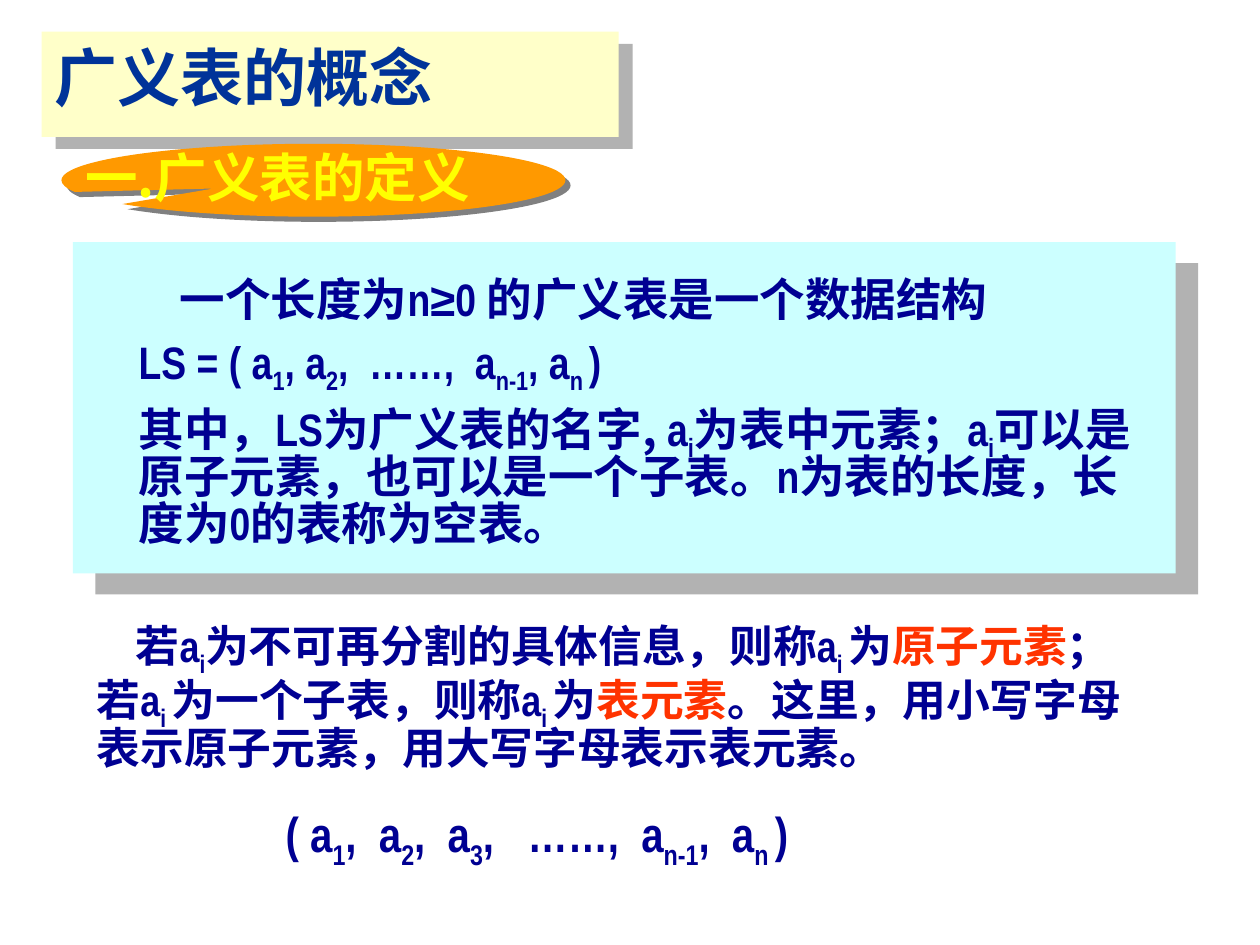
from dataclasses import dataclass

from lxml import etree
from pptx import Presentation
from pptx.dml.color import RGBColor
from pptx.enum.shapes import MSO_SHAPE
from pptx.enum.text import MSO_ANCHOR, MSO_AUTO_SIZE, PP_ALIGN
from pptx.oxml.ns import qn
from pptx.util import Cm, Pt

RECT = MSO_SHAPE.RECTANGLE
OVAL = MSO_SHAPE.OVAL_CALLOUT
TOP, MID = MSO_ANCHOR.TOP, MSO_ANCHOR.MIDDLE
GROW = MSO_AUTO_SIZE.SHAPE_TO_FIT_TEXT
LEFT = PP_ALIGN.LEFT


@dataclass(frozen=True)
class Theme:
    latin: str = "Arial Narrow"
    han: str = "Noto Sans CJK SC"
    navy: str = "000092"
    blue: str = "003399"
    red: str = "FF3300"
    yellow: str = "FFFF00"
    cream: str = "FFFFC9"
    cyan: str = "CCFFFF"
    orange: str = "FF9900"
    silver: str = "B2B2B2"
    gray: str = "808080"
    black: str = "000000"
    title: int = 36
    head: int = 30
    list: int = 28
    body: int = 26
    note: int = 25


T = Theme()


def shade(color, dist, angle):
    """Return an effect list holding one hard shadow."""
    fx = etree.Element(qn("a:effectLst"))
    drop = etree.SubElement(fx, qn("a:outerShdw"), dist=str(Pt(dist)),
                            dir=str(angle * 60000), algn="ctr", rotWithShape="0")
    etree.SubElement(drop, qn("a:srgbClr"), val=color)
    return fx


def write(shape, *lines, size, color=T.navy, face=None, anchor=TOP, space=1.0,
          gaps=None, first=0, drop=None):
    """Fill a shape; | parts the runs, _ starts a subscript, * a red run."""
    frame = shape.text_frame
    frame.word_wrap, frame.auto_size = True, GROW
    frame.vertical_anchor = anchor
    for i, line in enumerate(lines):
        par = frame.paragraphs[0] if i == 0 else frame.add_paragraph()
        par.alignment, par.line_spacing = LEFT, space
        before, after = (gaps or {}).get(i, (0, 0))
        par.space_before, par.space_after = Pt(before), Pt(after)
        props = par._p.get_or_add_pPr()
        props.set("marL", "0")
        props.set("indent", str(Cm(first) if i == 0 else 0))
        etree.SubElement(props, qn("a:buNone"))
        for part in line.split("|"):
            run = par.add_run()
            run.text = part.lstrip("_*")
            font = run.font
            font.size, font.bold = Pt(size), True
            tint = T.red if part[0] == "*" else color
            font.color.rgb = RGBColor.from_string(tint)
            wide = any(ord(c) > 0x2E80 for c in part)
            font.name = face or (T.han if wide else T.latin)
            rpr = run._r.get_or_add_rPr()
            rpr.find(qn("a:latin")).addnext(etree.Element(qn("a:ea"), typeface=T.han))
            if part[0] == "_":
                rpr.set("baseline", "-25000")
            if drop:
                rpr.find(qn("a:solidFill")).addnext(shade(*drop))


deck = Presentation()
deck.slide_width, deck.slide_height = Cm(25.4), Cm(19.05)
slide = deck.slides.add_slide(deck.slide_layouts[1])
shapes = slide.shapes
title, body = slide.placeholders

# Filled shapes with their shadows
oval = shapes.add_shape(OVAL, Cm(1.24), Cm(2.9), Cm(10.16), Cm(1.47))
oval.adjustments[0], oval.adjustments[1] = -0.198, 0.113
panel = shapes.add_shape(RECT, Cm(1.47), Cm(4.88), Cm(22.23), Cm(6.68))
for shape, fill, drop in ((title, T.cream, (T.silver, 10.6, 41)),
                          (oval, T.orange, (T.gray, 4.2, 45)),
                          (panel, T.cyan, (T.silver, 17.7, 43))):
    shape.fill.solid()
    shape.fill.fore_color.rgb = RGBColor.from_string(fill)
    shape.line.fill.background()
    shape._element.spPr.append(shade(*drop))

# Title and section heading
title.left, title.top, title.width, title.height = Cm(0.84), Cm(0.64), Cm(11.63), Cm(1.8)
write(title, "广义表的概念", size=T.title, color=T.blue, face=T.latin)
head = shapes.add_textbox(Cm(1.47), Cm(2.79), Cm(9.75), Cm(1.55))
write(head, "一.广义表的定义", size=T.head, color=T.yellow, anchor=MID,
      drop=(T.black, 2, 45))

# Definition, laid over its panel
shapes._spTree.append(body._element)
body.left, body.top, body.width, body.height = Cm(2.54), Cm(5.51), Cm(20.52), Cm(5.72)
write(body,
      "一个长度为|n≥0| 的广义表是一个数据结构",
      "LS = ( a|_1|, a|_2|,  ……,  a|_n-1|, a|_n |)",
      "其中，|LS|为广义表的名字, |a|_i|为表中元素；|a|_i|可以是原子元素，"
      "也可以是一个子表。|n|为表的长度，长度为|0|的表称为空表。",
      size=T.body, space=0.85, gaps={1: (6.5, 7.8)}, first=0.83)

# Kinds of element
note = shapes.add_textbox(Cm(1.7), Cm(12.47), Cm(23.22), Cm(3.15))
write(note,
      "若|a|_i|为不可再分割的具体信息，则称|a|_i |为|*原子元素|；",
      "若|a|_i |为一个子表，则称|a|_i |为|*表元素|。这里，用小写字母",
      "表示原子元素，用大写字母表示表元素。",
      size=T.note, anchor=MID, space=0.9, first=0.79)

# General form of the list
form = shapes.add_textbox(Cm(5.51), Cm(16.08), Cm(13.34), Cm(1.45))
write(form, "( a|_1|,  a|_2|,  a|_3|,   ……,  a|_n-1|,  a|_n |)", size=T.list,
      gaps={0: (0, 9.8)})

deck.save("out.pptx")
